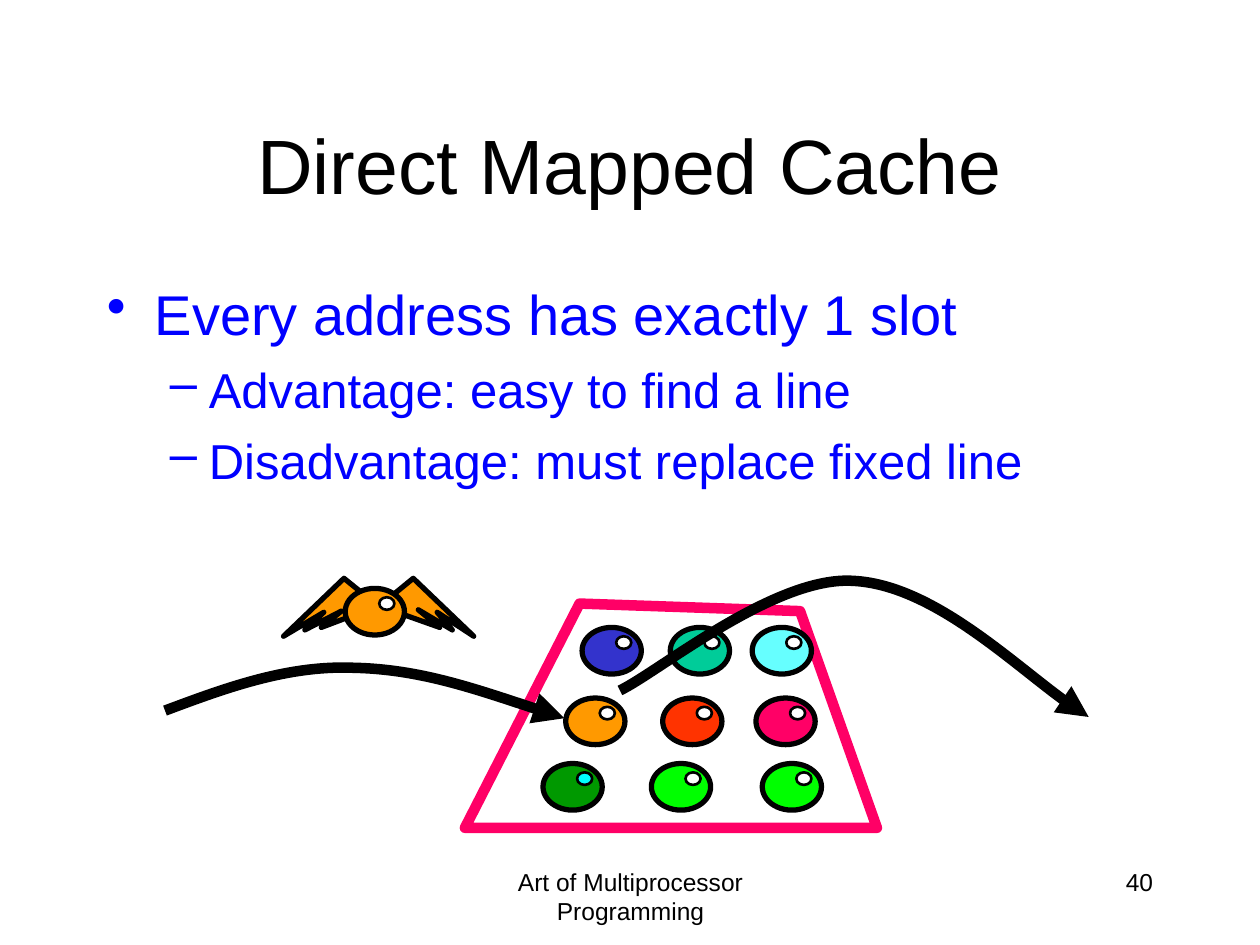
"""Slide on direct mapped caches: three bullet lines above a tray of coloured cache lines."""
from lxml import etree
from pptx import Presentation
from pptx.dml.color import RGBColor
from pptx.enum import shapes, text
from pptx.oxml import ns
from pptx.util import Inches, Pt

BLACK = RGBColor(0, 0, 0)
WHITE = RGBColor(255, 255, 255)
BLUE = RGBColor(0, 0, 255)
PINK = RGBColor(255, 0, 102)
ORANGE = RGBColor(255, 153, 0)
RED = RGBColor(255, 51, 0)
LIME = RGBColor(0, 255, 0)
GREEN = RGBColor(0, 153, 0)
CYAN = RGBColor(0, 255, 255)
SKY = RGBColor(102, 255, 255)
TEAL = RGBColor(0, 204, 153)
INDIGO = RGBColor(51, 51, 204)

TITLE = "Direct Mapped Cache"
FOOTER = "Art of Multiprocessor Programming"
PAGE_NUMBER = "40"
BULLETS = [
    ("Every address has exactly 1 slot", dict(size=32, before=8, bullet="•", margin=0.38, hang=0.38)),
    ("Advantage: easy to find a line", dict(size=28, before=7, bullet="–", margin=0.81, hang=0.31, level=1)),
    ("Disadvantage: must replace fixed line", dict(size=28, before=7, bullet="–", margin=0.81, hang=0.31, level=1)),
]

TRAY = [(4.6, 4.79), (3.69, 6.57), (6.96, 6.57), (6.35, 4.85)]
BALL_ROWS = [
    (6.06, [(6.05, LIME, WHITE), (5.17, LIME, WHITE), (4.31, GREEN, CYAN)]),
    (5.54, [(6, PINK, WHITE), (5.26, RED, WHITE), (4.49, ORANGE, WHITE)]),
    (4.98, [(5.97, SKY, WHITE), (5.32, TEAL, WHITE), (4.62, INDIGO, WHITE)]),
]
WINGS = [
    [(3.06, 4.77), (3.28, 4.59), (3.76, 5.05), (3.47, 4.86), (3.59, 5), (3.32, 4.84), (3.49, 4.98), (3.01, 4.81)],
    [(2.94, 4.76), (2.73, 4.59), (2.25, 5.05), (2.57, 4.86), (2.42, 5), (2.71, 4.85), (2.55, 4.98), (3, 4.81)],
]
ARROW_IN = [(1.31, 5.64), (1.79, 5.46), (2.28, 5.28), (2.8, 5.3), (3.33, 5.31), (3.9, 5.51), (4.48, 5.7)]
ARROW_OUT = [(4.92, 5.48), (5.23, 5.33), (6.15, 4.57), (6.77, 4.61), (7.39, 4.64), (8.25, 5.46), (8.64, 5.69)]


def add_box(page, left, top, width, height, anchor=text.MSO_ANCHOR.TOP):
    box = page.shapes.add_textbox(Inches(left), Inches(top), Inches(width), Inches(height))
    box.text_frame.word_wrap = True
    box.text_frame.vertical_anchor = anchor
    return box.text_frame


def write(para, words, size=14, color=BLACK, align=text.PP_ALIGN.LEFT, before=0,
          bullet=None, margin=0, hang=0, level=0):
    para.alignment, para.level, para.space_before = align, level, Pt(before)
    span = para.add_run()
    span.text = words
    span.font.name, span.font.size, span.font.color.rgb = "Arial", Pt(size), color
    if bullet:
        props = para._p.get_or_add_pPr()
        props.set("marL", str(Inches(margin)))
        props.set("indent", str(-Inches(hang)))
        tint = etree.SubElement(props, ns.qn("a:buClr"))
        etree.SubElement(tint, ns.qn("a:srgbClr"), val=str(color))
        etree.SubElement(props, ns.qn("a:buChar"), char=bullet)


def paint(shape, fill=None, line=BLACK, weight=3):
    shape.shadow.inherit = False
    if fill is None:
        shape.fill.background()
    else:
        shape.fill.solid()
        shape.fill.fore_color.rgb = fill
    shape.line.color.rgb = line
    shape.line.width = Pt(weight)


def add_outline(parent, points, closed=True, **look):
    places = [(Inches(x), Inches(y)) for x, y in points]
    builder = parent.shapes.build_freeform(*places[0])
    builder.add_line_segments(places[1:], close=closed)
    outline = builder.convert_to_shape()
    paint(outline, **look)
    return outline


def add_curved_arrow(page, points):
    arrow = add_outline(page, points, closed=False, weight=6)
    segments = list(arrow._element.iter(ns.qn("a:lnTo")))
    track = segments[0].getparent()
    for start in range(0, len(segments), 3):
        curve = etree.SubElement(track, ns.qn("a:cubicBezTo"))
        for segment in segments[start:start + 3]:
            curve.append(segment[0])
            track.remove(segment)
    etree.SubElement(arrow.line._get_or_add_ln(), ns.qn("a:tailEnd"), type="triangle")


def add_ball(group, left, top, color, shine):
    for x, y, width, height, fill, weight in [
        (left, top, 0.47, 0.37, color, 3),
        (left + 0.27, top + 0.07, 0.12, 0.1, shine, 1.5),
    ]:
        oval = group.shapes.add_shape(shapes.MSO_SHAPE.OVAL, Inches(x), Inches(y), Inches(width), Inches(height))
        paint(oval, fill=fill, weight=weight)


def main():
    deck = Presentation()
    deck.slide_width, deck.slide_height = Inches(10), Inches(7.5)
    page = deck.slides.add_slide(deck.slide_layouts[6])

    footer = add_box(page, 3.42, 6.83, 3.17, 0.5)
    write(footer.paragraphs[0], FOOTER, align=text.PP_ALIGN.CENTER)
    number = add_box(page, 7.17, 6.83, 2.08, 0.5)
    write(number.paragraphs[0], PAGE_NUMBER, align=text.PP_ALIGN.RIGHT)
    title = add_box(page, 0.75, 0.67, 8.5, 1.25, anchor=text.MSO_ANCHOR.MIDDLE)
    write(title.paragraphs[0], TITLE, size=44, align=text.PP_ALIGN.CENTER)
    body = add_box(page, 0.75, 2.17, 8.5, 4.5)
    for index, (words, look) in enumerate(BULLETS):
        para = body.add_paragraph() if index else body.paragraphs[0]
        write(para, words, color=BLUE, **look)

    add_outline(page, TRAY, line=PINK, weight=6)
    for top, balls in BALL_ROWS:
        for left, color, shine in balls:
            add_ball(page.shapes.add_group_shape(), left, top, color, shine)
    winged_ball = page.shapes.add_group_shape()
    for wing in WINGS:
        add_outline(winged_ball, wing, fill=ORANGE)
    add_ball(winged_ball, 2.74, 4.67, ORANGE, WHITE)
    add_curved_arrow(page, ARROW_IN)
    add_curved_arrow(page, ARROW_OUT)
    deck.save("out.pptx")


if __name__ == "__main__":
    main()
